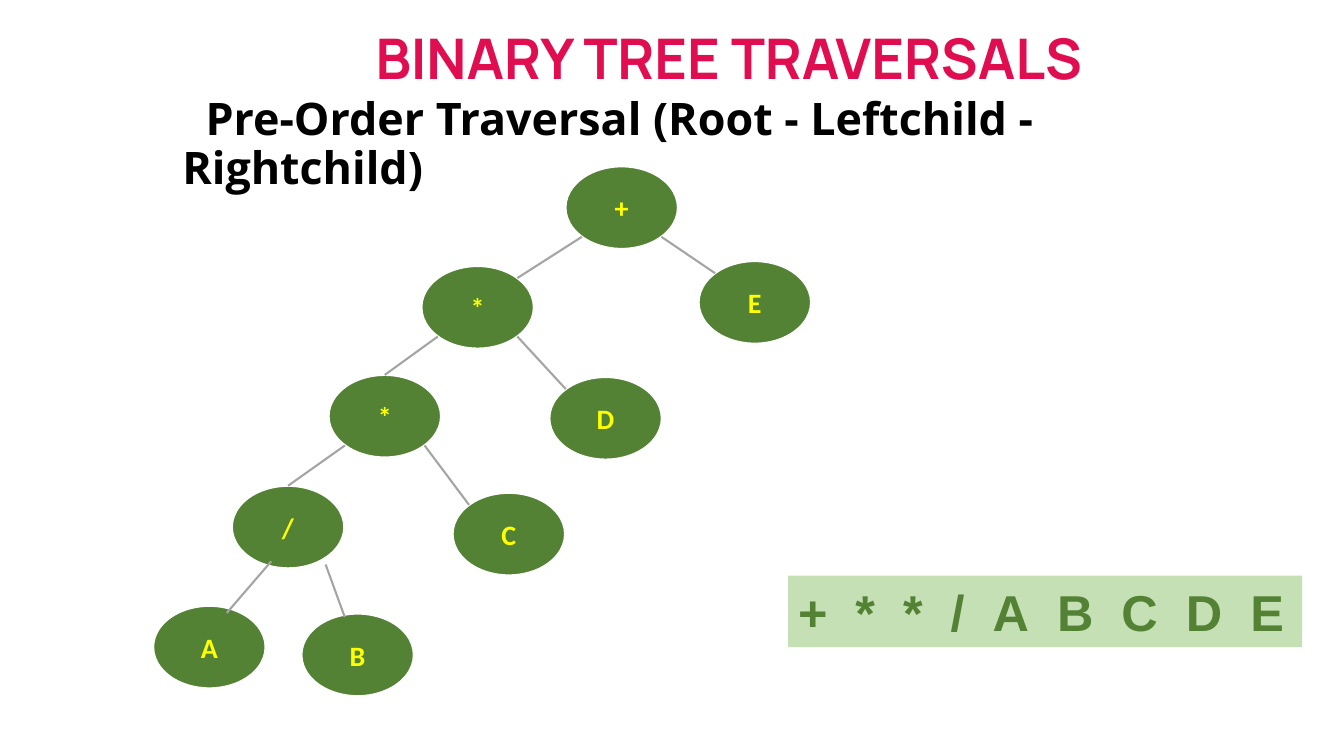
from itertools import accumulate
from math import cos, pi, sin

from lxml.etree import SubElement
from pptx import Presentation
from pptx.dml.color import RGBColor
from pptx.enum.shapes import MSO_CONNECTOR, MSO_SHAPE
from pptx.enum.text import MSO_ANCHOR, PP_ALIGN
from pptx.oxml.ns import qn
from pptx.util import Pt

COLORS = {
    "heading": "E00D50",
    "text": "000000",
    "node": "548235",
    "label": "FFFF00",
    "outline": "FFFFFF",
    "edge": "A5A5A5",
    "band": "C5E0B4",
}
NODE_W, NODE_H = 80.3, 59


class TreeSlide:
    def __init__(self, slide):
        self.slide = slide

    def color(self, name):
        return RGBColor.from_string(COLORS[name])

    def style(self, paragraph, font, size, color, align=PP_ALIGN.LEFT):
        paragraph.alignment = align
        paragraph.font.name = font
        paragraph.font.size = Pt(size)
        paragraph.font.bold = True
        paragraph.font.color.rgb = self.color(color)

    def heading(self, holder, text, box, spacing):
        """Move a placeholder, fill it and return its paragraph."""
        holder.left, holder.top, holder.width, holder.height = map(Pt, box)
        frame = holder.text_frame
        frame.word_wrap = True
        frame.vertical_anchor = MSO_ANCHOR.TOP
        frame.margin_top = frame.margin_bottom = 0
        frame.text = text
        paragraph = frame.paragraphs[0]
        paragraph.line_spacing = spacing
        paragraph.space_before = Pt(0)
        return paragraph

    def node(self, label, left, top):
        oval = self.slide.shapes.add_shape(
            MSO_SHAPE.OVAL, Pt(left), Pt(top), Pt(NODE_W), Pt(NODE_H))
        oval.shadow.inherit = False
        oval.fill.solid()
        oval.fill.fore_color.rgb = self.color("node")
        oval.line.color.rgb = self.color("outline")
        oval.line.width = Pt(1.5)
        frame = oval.text_frame
        frame.vertical_anchor = MSO_ANCHOR.MIDDLE
        frame.text = label
        self.style(frame.paragraphs[0], "Calibri", 20, "label", PP_ALIGN.CENTER)
        return oval

    def edge(self, start, end):
        line = self.slide.shapes.add_connector(
            MSO_CONNECTOR.STRAIGHT, *map(Pt, start + end))
        line.line.color.rgb = self.color("edge")
        line.line.width = Pt(1.5)
        SubElement(line._element.spPr, qn("a:effectLst"))
        return line

    def band(self, symbols, advances, box):
        """Spread the symbols over a coloured band with tab stops."""
        strip = self.slide.shapes.add_textbox(*map(Pt, box))
        strip.fill.solid()
        strip.fill.fore_color.rgb = self.color("band")
        frame = strip.text_frame
        frame.word_wrap = True
        frame.text = "\t".join(symbols)
        paragraph = frame.paragraphs[0]
        stops = SubElement(paragraph._p.get_or_add_pPr(), qn("a:tabLst"))
        for position in accumulate(advances):
            SubElement(stops, qn("a:tab"), pos=str(Pt(position)), algn="l")
        self.style(paragraph, "Arial", 36, "node")


def rim(place, degrees):
    """Point on a node's outline, measured clockwise from the right."""
    angle = degrees * pi / 180
    return (place[0] + NODE_W / 2 * (1 + cos(angle)),
            place[1] + NODE_H / 2 * (1 + sin(angle)))


def main():
    deck = Presentation()
    deck.slide_width, deck.slide_height = Pt(960), Pt(540)
    slide = deck.slides.add_slide(deck.slide_layouts[1])
    page = TreeSlide(slide)

    # Headings
    title = page.heading(slide.shapes.title, "BINARY TREE TRAVERSALS",
                         (123, 16.6, 795, 55), 1.0)
    page.style(title, "Manrope", 40, "heading", PP_ALIGN.CENTER)
    traversal = page.heading(
        slide.placeholders[1],
        "Pre-Order Traversal (Root - Leftchild - Rightchild)",
        (123, 69.4, 795, 89), 0.9)
    properties = traversal._p.get_or_add_pPr()
    properties.set("marL", "0")
    properties.set("indent", str(Pt(16.6)))
    SubElement(properties, qn("a:buNone"))
    page.style(traversal, "Open Sans", 32, "text")

    # Tree nodes: key, label, left and top
    places = {
        "plus": ("+", 403.9, 118.8),
        "times": ("*", 301, 190),
        "E": ("E", 499, 186.5),
        "times2": ("*", 234.7, 267.8),
        "D": ("D", 392.4, 269.3),
        "divide": ("/", 165.6, 347),
        "C": ("C", 323.3, 352),
        "A": ("A", 109.4, 432.7),
        "B": ("B", 215.3, 438.3),
    }
    nodes = {key: page.node(*place) for key, place in places.items()}

    # Edges: parent and child, with the angle at each end
    for parent, leave, child, arrive in [
        ("plus", 135, "times", -45),
        ("plus", 45, "E", -135),
        ("times", 135, "times2", -90),
        ("times", 45, "D", -135),
        ("times2", 135, "divide", -90),
        ("times2", 45, "C", -135),
    ]:
        line = page.edge(rim(places[parent][1:], leave),
                         rim(places[child][1:], arrive))
        if arrive == -90:
            line.end_connect(nodes[child], 0)
    page.edge((193.7, 401), (162, 437.8))
    page.edge((232.6, 403.2), (246.2, 440.6))

    # Traversal result
    page.band("+**/ABCDE", [41, 34, 34, 30, 46, 46, 46, 46],
              (563, 411.2, 367.2, 51))

    deck.save("out.pptx")


if __name__ == "__main__":
    main()
